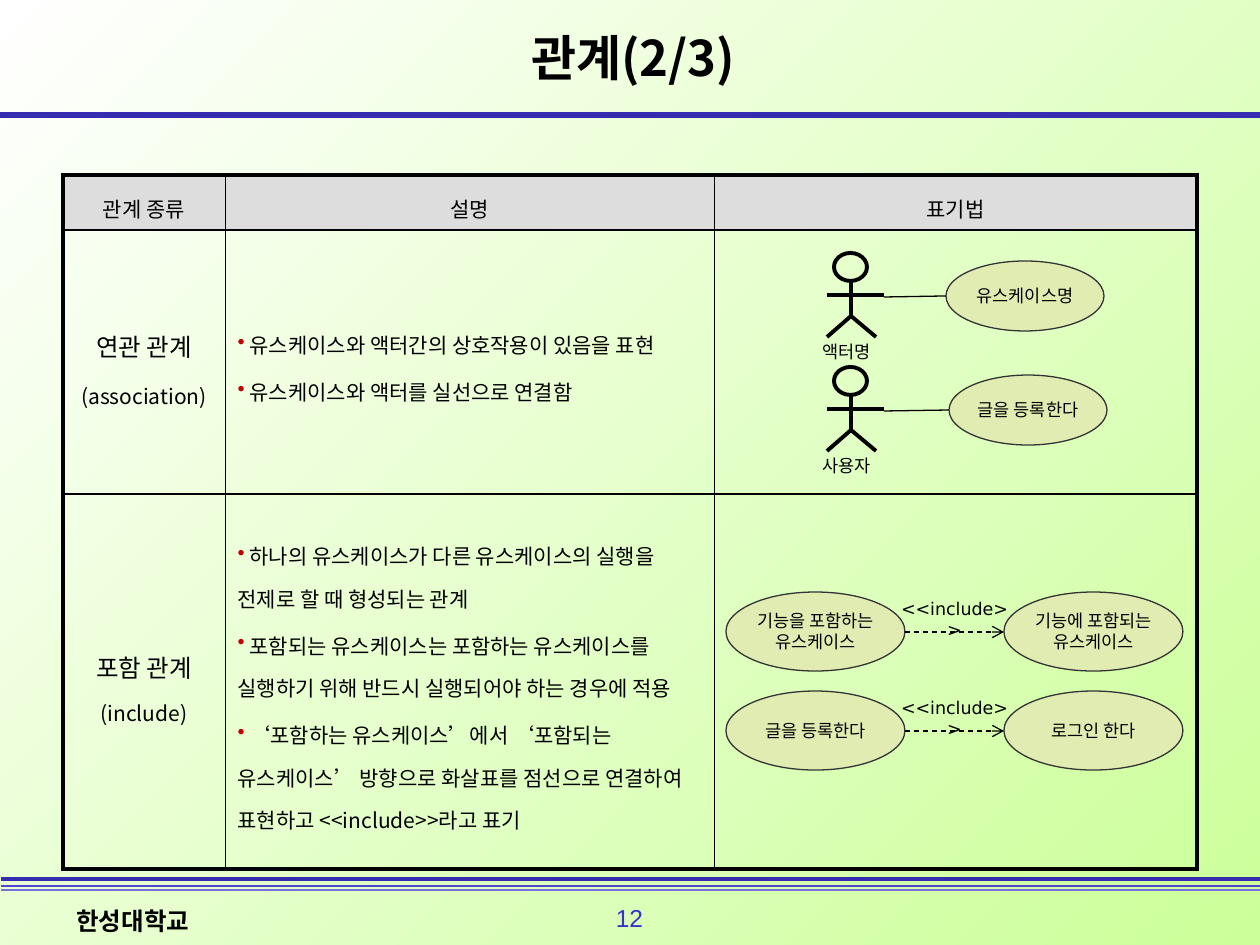
from typing import NamedTuple

from lxml.etree import SubElement
from pptx import Presentation
from pptx.dml.color import RGBColor
from pptx.enum.dml import MSO_LINE
from pptx.enum.shapes import MSO_CONNECTOR, MSO_SHAPE
from pptx.enum.text import MSO_ANCHOR, MSO_AUTO_SIZE, PP_ALIGN
from pptx.oxml.ns import qn
from pptx.util import Emu, Inches, Pt

EMU_PER_PX = 914400 / 126
KOREAN = "Noto Sans CJK KR"
BLACK = "000000"
BULLET_RED = "C40000"
OUTER, RULE, INNER = 2.25, 1, 0.5


class Box(NamedTuple):
    left: int
    top: int
    width: int
    height: int


class Style(NamedTuple):
    size: int
    font: str = KOREAN
    color: str = BLACK
    bold: bool = False


class Line(NamedTuple):
    start: tuple[int, int]
    end: tuple[int, int]
    width: float = 0.75
    color: str = BLACK


class UseCase(NamedTuple):
    box: Box
    lines: list[str]


class Actor(NamedTuple):
    top: int
    name: str


BODY, KIND, SMALL = Style(12), Style(14), Style(10)

MASTER_LINES = [
    Line((-5, 115), (1260, 115), 3, "352CB0"),
    Line((1, 886), (1261, 886), 1.5, "4F45D1"),
    Line((1, 890), (1261, 890), 1, "7870DC"),
    Line((1, 879), (1261, 879), 2.25, "352CB0"),
]
HEADERS = ["관계 종류", "설명", "표기법"]
COLUMN_WIDTHS = [162, 489, 483]
ROW_HEIGHTS = [55, 264, 375]
# Each kind is a list of paragraphs; runs of a paragraph are split by line breaks.
KINDS = [
    [[("연관 관계", KIND)], [("(association)", BODY)]],
    [[("포함 관계", KIND), ("(include)", BODY)]],
]
DESCRIPTIONS = [
    ["유스케이스와 액터간의 상호작용이 있음을 표현", "유스케이스와 액터를 실선으로 연결함"],
    [
        "하나의 유스케이스가 다른 유스케이스의 실행을 전제로 할 때 형성되는 관계",
        "포함되는 유스케이스는 포함하는 유스케이스를 실행하기 위해 반드시 실행되어야 하는 경우에 적용",
        "‘포함하는 유스케이스’에서 ‘포함되는 유스케이스’ 방향으로 화살표를 점선으로 연결하여 표현하고 "
        "<<include>>라고 표기",
    ],
]
ACTORS = [Actor(253, "액터명"), Actor(367, "사용자")]
ACTOR_USE_CASES = [
    UseCase(Box(946, 261, 158, 70), ["유스케이스명"]),
    UseCase(Box(949, 375, 158, 70), ["글을 등록한다"]),
]
INCLUDE_ROWS = [
    (592, ["기능을 포함하는", "유스케이스"], ["기능에 포함되는", "유스케이스"]),
    (691, ["글을 등록한다"], ["로그인 한다"]),
]


def px(value: float) -> Emu:
    return Emu(round(value * EMU_PER_PX))


def rgb(color: str) -> RGBColor:
    return RGBColor.from_string(color)


def add_run(paragraph, text: str, style: Style) -> None:
    run = paragraph.add_run()
    run.text = text
    formats = {"size": Pt(style.size), "name": style.font, "bold": style.bold}
    for name, value in formats.items():
        setattr(run.font, name, value)
    run.font.color.rgb = rgb(style.color)
    SubElement(run.font._element, qn("a:ea"), typeface=style.font)


def fill_text(frame, paragraphs: list, align=PP_ALIGN.CENTER, bullet=False, spacing=None) -> None:
    """Write paragraphs, each a list of (text, style) runs split by line breaks."""
    for index, runs in enumerate(paragraphs):
        paragraph = frame.add_paragraph() if index else frame.paragraphs[0]
        paragraph.alignment = align
        if spacing:
            paragraph.line_spacing = spacing
            paragraph.space_before = Pt(2.4 if index else 0)
        if bullet:
            properties = paragraph._p.get_or_add_pPr()
            color = SubElement(properties, qn("a:buClr"))
            SubElement(color, qn("a:srgbClr"), val=BULLET_RED)
            SubElement(properties, qn("a:buChar"), char="•")
        for position, (text, style) in enumerate(runs):
            if position:
                paragraph.add_line_break()
            add_run(paragraph, text, style)


def add_label(slide, box: Box, text: str, style: Style, align=PP_ALIGN.CENTER) -> None:
    frame = slide.shapes.add_textbox(*map(px, box)).text_frame
    frame.word_wrap = False
    fill_text(frame, [[(text, style)]], align)


def add_line(shapes, line: Line, arrow: bool = False) -> None:
    """Draw a solid line, or a dashed one with an arrowhead at its end."""
    connector = shapes.add_connector(MSO_CONNECTOR.STRAIGHT, *map(px, line.start + line.end))
    connector.line.color.rgb = rgb(line.color)
    connector.line.width = Pt(line.width)
    if arrow:
        connector.line.dash_style = MSO_LINE.DASH
        SubElement(connector.line._get_or_add_ln(), qn("a:tailEnd"), type="arrow")
    SubElement(connector._element.spPr, qn("a:effectLst"))


def add_ellipse(shapes, box: Box, line_color: str, line_width: float):
    ellipse = shapes.add_shape(MSO_SHAPE.OVAL, *map(px, box))
    ellipse.shadow.inherit = False
    ellipse.fill.background()
    ellipse.line.color.rgb = rgb(line_color)
    ellipse.line.width = Pt(line_width)
    return ellipse


def add_use_case(slide, use_case: UseCase) -> None:
    ellipse = add_ellipse(slide.shapes, use_case.box, "333333", 0.75)
    ellipse.fill.solid()
    ellipse.fill.fore_color.rgb = rgb("E0ECB2")
    frame = ellipse.text_frame
    frame.word_wrap = False
    frame.vertical_anchor = MSO_ANCHOR.MIDDLE
    fill_text(frame, [[(text, SMALL)] for text in use_case.lines])


def add_actor(slide, actor: Actor) -> None:
    top = actor.top
    figure = slide.shapes.add_group_shape().shapes
    neck, hip = (851, top + 28), (851, top + 63)
    limbs = [((827, top + 42), (884, top + 42)), (neck, hip),
             (hip, (827, top + 84)), (hip, (876, top + 84))]
    for start, end in limbs:
        add_line(figure, Line(start, end, 2.25))
    add_ellipse(figure, Box(834, top, 33, 28), BLACK, 2.25)
    add_label(slide, Box(808, top + 82, 78, 34), actor.name, SMALL)


def set_borders(cell, row: int, column: int) -> None:
    widths = {
        "a:lnL": INNER if column else OUTER,
        "a:lnR": OUTER if column == 2 else INNER,
        "a:lnT": RULE if row else OUTER,
        "a:lnB": OUTER if row == 2 else RULE,
    }
    properties = cell._tc.get_or_add_tcPr()
    for index, (tag, width) in enumerate(widths.items()):
        border = properties.makeelement(qn(tag), {"w": str(Pt(width))})
        SubElement(SubElement(border, qn("a:solidFill")), qn("a:srgbClr"), val=BLACK)
        properties.insert(index, border)


def add_relation_table(slide) -> None:
    box = Box(63, 175, sum(COLUMN_WIDTHS), sum(ROW_HEIGHTS))
    table = slide.shapes.add_table(3, 3, *map(px, box)).table
    table.first_row = table.horz_banding = False
    for column, width in zip(table.columns, COLUMN_WIDTHS):
        column.width = px(width)
    for row, height in zip(table.rows, ROW_HEIGHTS):
        row.height = px(height)
    for row in range(3):
        for column in range(3):
            cell = table.cell(row, column)
            cell.vertical_anchor = MSO_ANCHOR.MIDDLE
            cell.fill.background()
            set_borders(cell, row, column)
    for column, header in enumerate(HEADERS):
        cell = table.cell(0, column)
        cell.fill.solid()
        cell.fill.fore_color.rgb = rgb("DDDDDD")
        fill_text(cell.text_frame, [[(header, BODY)]], spacing=1.4)
    for row, (kind, points) in enumerate(zip(KINDS, DESCRIPTIONS), start=1):
        fill_text(table.cell(row, 0).text_frame, kind, spacing=1.4)
        fill_text(table.cell(row, 1).text_frame, [[(f" {point}", BODY)] for point in points],
                  PP_ALIGN.LEFT, bullet=True, spacing=1.4)


def set_title(slide, box: Box, text: str) -> None:
    title = slide.shapes.title
    for name, value in zip(("left", "top", "width", "height"), box):
        setattr(title, name, px(value))
    title.text_frame.auto_size = MSO_AUTO_SIZE.NONE
    title.text_frame.vertical_anchor = MSO_ANCHOR.MIDDLE
    fill_text(title.text_frame, [[(text, Style(28, bold=True))]])


def main() -> None:
    presentation = Presentation()
    presentation.slide_width, presentation.slide_height = Inches(10), Inches(7.5)
    slide = presentation.slides.add_slide(presentation.slide_layouts[5])
    background = slide.background.fill
    background.gradient()
    background.gradient_angle = 315
    for stop, color in zip(background.gradient_stops, ("FFFFFF", "CCFF99")):
        stop.color.rgb = rgb(color)

    for line in MASTER_LINES:
        add_line(slide.shapes, line)
    add_label(slide, Box(602, 897, 55, 42), "12", Style(14, "Arial", "3333CC"))
    add_label(slide, Box(64, 900, 358, 42), "한성대학교", Style(14, bold=True), PP_ALIGN.LEFT)
    set_title(slide, Box(313, 35, 640, 44), "관계(2/3)")
    add_relation_table(slide)

    for actor, use_case in zip(ACTORS, ACTOR_USE_CASES):
        add_actor(slide, actor)
        add_use_case(slide, use_case)
        add_line(slide.shapes, Line((884, actor.top + 44), (use_case.box.left, actor.top + 43)))
    for top, including, included in INCLUDE_ROWS:
        add_use_case(slide, UseCase(Box(726, top, 179, 79), including))
        add_use_case(slide, UseCase(Box(1004, top, 179, 79), included))
        add_line(slide.shapes, Line((905, top + 40), (1004, top + 40)), arrow=True)
        add_label(slide, Box(882, top, 145, 34), "<<include>>", Style(10, "DejaVu Sans"))
    presentation.save("out.pptx")


if __name__ == "__main__":
    main()
